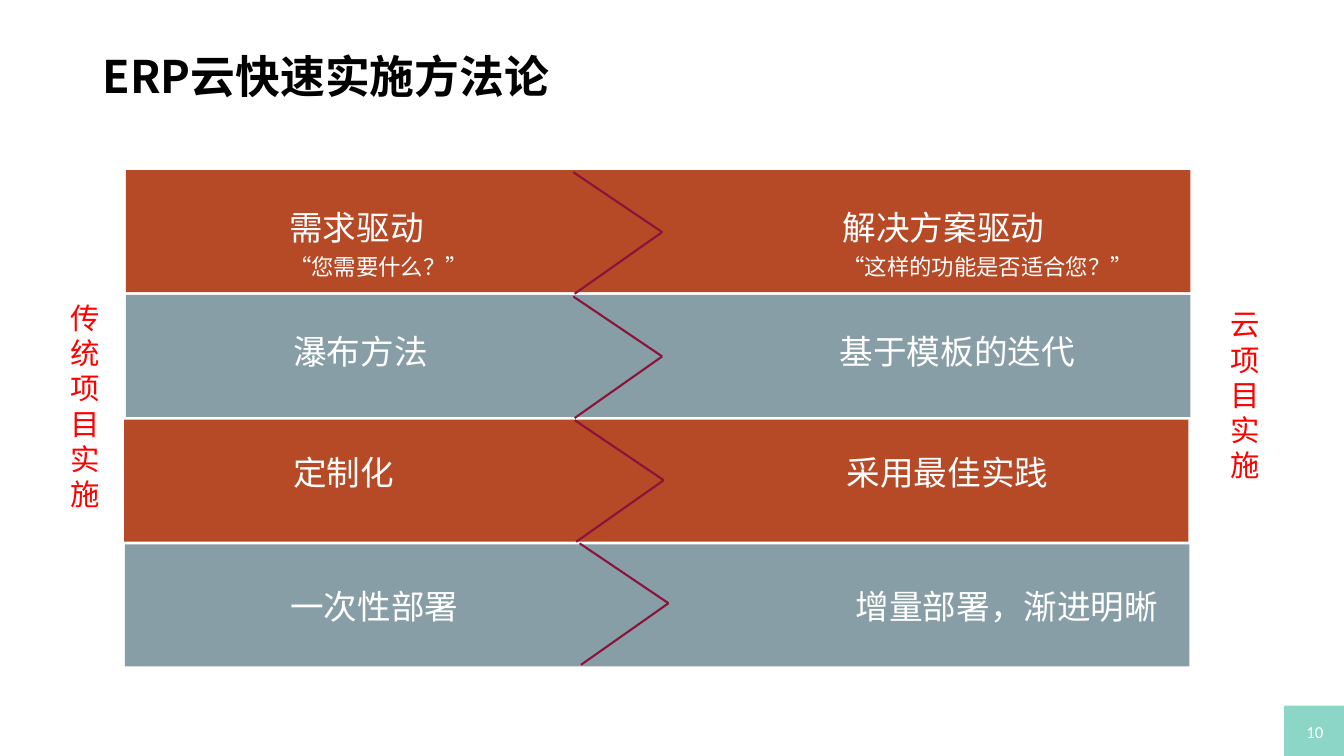
from pptx import Presentation
from pptx.dml.color import RGBColor
from pptx.enum.shapes import MSO_CONNECTOR as Connector, MSO_SHAPE as Shape
from pptx.enum.text import MSO_ANCHOR as Anchor, PP_ALIGN as Align
from pptx.oxml.ns import qn
from pptx.util import Pt

COLORS = {"rust": "B64926", "slate": "889EA6", "wine": "8A133B", "mint": "8CD6C7",
          "white": "FFFFFF", "red": "FF0000", "black": "000000"}
CJK = "Noto Sans CJK SC"

presentation = Presentation()
presentation.slide_width, presentation.slide_height = Pt(960), Pt(540)
slide = presentation.slides.add_slide(presentation.slide_layouts[6])


def add_block(left, top, width, height, color):
    shape = slide.shapes.add_shape(Shape.RECTANGLE, Pt(left), Pt(top), Pt(width), Pt(height))
    shape.shadow.inherit = False
    shape.fill.solid()
    shape.fill.fore_color.rgb = RGBColor.from_string(COLORS[color])
    shape.line.fill.background()


def add_text(left, top, width, height, lines, color, name=CJK, bold=False, spacing=1.0,
             anchor=Anchor.TOP, align=Align.LEFT, margin=0):
    box = slide.shapes.add_textbox(Pt(left), Pt(top), Pt(width), Pt(height))
    frame = box.text_frame
    frame.word_wrap = True
    frame.vertical_anchor = anchor
    frame.margin_left = frame.margin_right = Pt(margin)
    frame.margin_top = frame.margin_bottom = Pt(margin / 2)
    for index, (text, size) in enumerate(lines):
        paragraph = frame.add_paragraph() if index else frame.paragraphs[0]
        paragraph.text = text
        paragraph.alignment = align
        paragraph.line_spacing = spacing
        if index:
            paragraph.space_before = Pt(8)
        font = paragraph.font
        font.size, font.bold, font.name = Pt(size), bold, name
        font.color.rgb = RGBColor.from_string(COLORS[color])
        # East Asian typeface
        properties = paragraph._p.pPr.find(qn("a:defRPr"))
        east_asian = properties.makeelement(qn("a:ea"), {"typeface": CJK})
        properties.find(qn("a:latin")).addnext(east_asian)


# Title
add_text(66.2, 28.8, 828, 54.7, [("ERP云快速实施方法论", 32)], "black", bold=True,
         spacing=0.9, anchor=Anchor.MIDDLE, margin=7.2)

# Comparison rows: band left, chevron left and top, text lefts and top, wording
rows = [
    (90, 409.5, 123, 206.6, 601.9, 153.7,
     [("需求驱动", 24), ("“您需要什么？”", 16)],
     [("解决方案驱动", 24), ("“这样的功能是否适合您？”", 16)]),
    (90, 409.5, 211.8, 209.5, 599.8, 241.9, [("瀑布方法", 24)], [("基于模板的迭代", 24)]),
    (88.6, 410.6, 300.2, 209.5, 604.8, 328.3, [("定制化", 24)], [("采用最佳实践", 24)]),
    (89.3, 414, 388.1, 207.4, 611.3, 424.1, [("一次性部署", 24)], [("增量部署，渐进明晰", 24)]),
]
for index, (band_left, x, y, old_left, new_left, text_top, old, new) in enumerate(rows):
    add_block(band_left, 121.6 + 89.1 * index, 760.3, 87.1, ("rust", "slate")[index % 2])
    add_text(old_left, text_top, 245.5, 36, old, "white", spacing=0.8)
    add_text(new_left, text_top, 216.7, 36, new, "white", spacing=0.8)

    # Chevron between the two approaches
    points = [(x, y), (x + 63.5, y + 42.8), (x + 1, y + 86.8)]
    for start, end in zip(points, points[1:]):
        line = slide.shapes.add_connector(Connector.STRAIGHT, *map(Pt, start + end))
        line.line.color.rgb = RGBColor.from_string(COLORS["wine"])
        line.line.width = Pt(1.5)
        properties = line._element.spPr
        properties.append(properties.makeelement(qn("a:effectLst"), {}))

# Side labels, one character per line
for left, top, label in [(46.8, 127.4, "传统项目实施"), (875.5, 119.5, "云项目实施")]:
    add_text(left, top, 27.4, 324.7, [(label, 21)], "red", anchor=Anchor.MIDDLE,
             align=Align.CENTER)

# Page number
add_block(917.3, 504, 44.6, 37.4, "mint")
add_text(919.4, 508.3, 39.6, 28.8, [("10", 12)], "white", name="Calibri",
         anchor=Anchor.MIDDLE, align=Align.CENTER, margin=7.2)

presentation.save("out.pptx")
